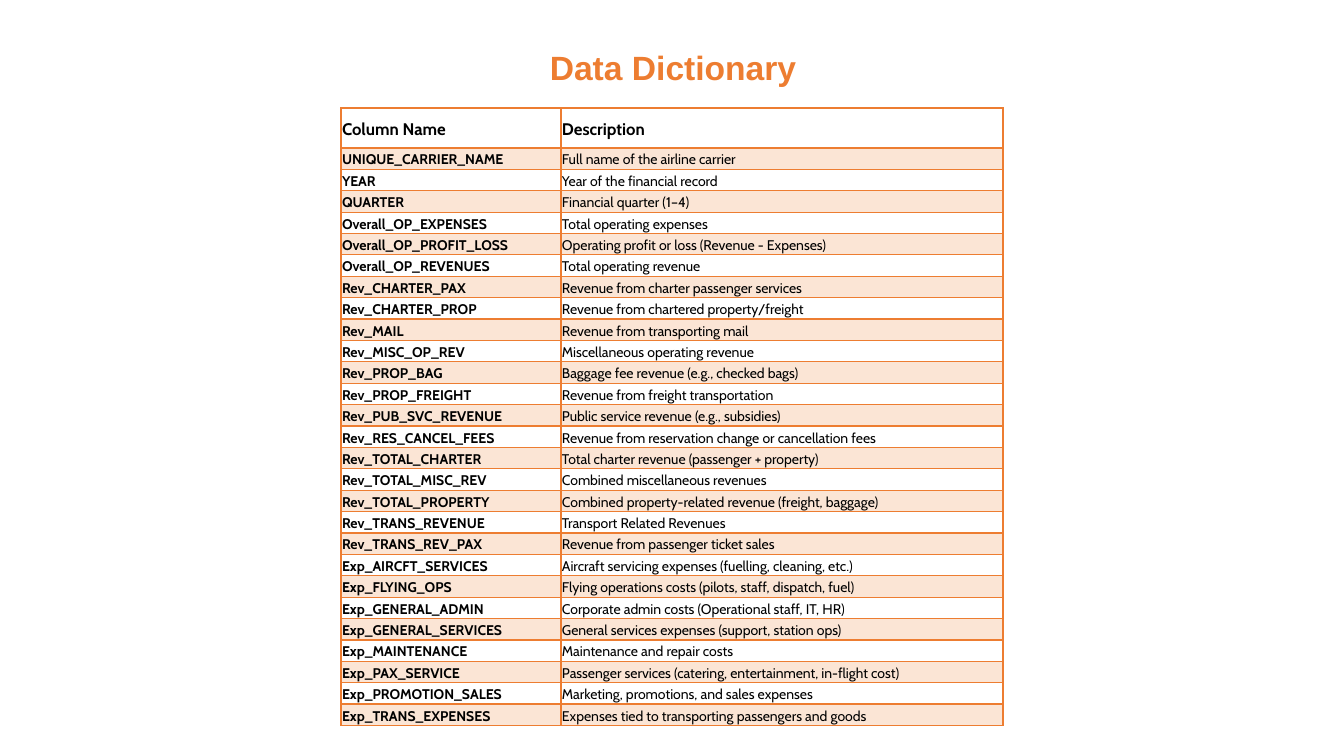
from lxml import etree
from pptx import Presentation
from pptx.dml.color import RGBColor
from pptx.enum.text import MSO_ANCHOR, PP_ALIGN
from pptx.oxml.ns import qn
from pptx.util import Emu, Pt

COLORS = {"accent": "ED7D31", "text": "000000"}
BAND_ALPHA = 20
SLIDE_SIZE = (1344, 756)
TITLE_BOX = (449, 42, 448, 50)
TABLE_BOX = (341, 108, 662, 618)
NAME_WIDTH = 220
HEADER_HEIGHT = 40

TITLE_FONT = {"name": "Arial", "size": Pt(24), "bold": True}
HEADER_FONT = {"name": "Cabin", "size": Pt(12), "bold": True}
NAME_FONT = {"name": "Cabin", "size": Pt(10), "bold": True}
DESCRIPTION_FONT = {"name": "Cabin", "size": Pt(10), "bold": False}

HEADER = ("Column Name", "Description")
DICTIONARY = [
    ("UNIQUE_CARRIER_NAME", "Full name of the airline carrier"),
    ("YEAR", "Year of the financial record"),
    ("QUARTER", "Financial quarter (1–4)"),
    ("Overall_OP_EXPENSES", "Total operating expenses"),
    ("Overall_OP_PROFIT_LOSS", "Operating profit or loss (Revenue - Expenses)"),
    ("Overall_OP_REVENUES", "Total operating revenue"),
    ("Rev_CHARTER_PAX", "Revenue from charter passenger services"),
    ("Rev_CHARTER_PROP", "Revenue from chartered property/freight"),
    ("Rev_MAIL", "Revenue from transporting mail"),
    ("Rev_MISC_OP_REV", "Miscellaneous operating revenue"),
    ("Rev_PROP_BAG", "Baggage fee revenue (e.g., checked bags)"),
    ("Rev_PROP_FREIGHT", "Revenue from freight transportation"),
    ("Rev_PUB_SVC_REVENUE", "Public service revenue (e.g., subsidies)"),
    ("Rev_RES_CANCEL_FEES", "Revenue from reservation change or cancellation fees"),
    ("Rev_TOTAL_CHARTER", "Total charter revenue (passenger + property)"),
    ("Rev_TOTAL_MISC_REV", "Combined miscellaneous revenues"),
    ("Rev_TOTAL_PROPERTY", "Combined property-related revenue (freight, baggage)"),
    ("Rev_TRANS_REVENUE", "Transport Related Revenues"),
    ("Rev_TRANS_REV_PAX", "Revenue from passenger ticket sales"),
    ("Exp_AIRCFT_SERVICES", "Aircraft servicing expenses (fuelling, cleaning, etc.)"),
    ("Exp_FLYING_OPS", "Flying operations costs (pilots, staff, dispatch, fuel)"),
    ("Exp_GENERAL_ADMIN", "Corporate admin costs (Operational staff, IT, HR)"),
    ("Exp_GENERAL_SERVICES", "General services expenses (support, station ops)"),
    ("Exp_MAINTENANCE", "Maintenance and repair costs"),
    ("Exp_PAX_SERVICE", "Passenger services (catering, entertainment, in-flight cost)"),
    ("Exp_PROMOTION_SALES", "Marketing, promotions, and sales expenses"),
    ("Exp_TRANS_EXPENSES", "Expenses tied to transporting passengers and goods"),
]


def px(length):
    return Emu(round(length * 914400 / 100.8))


def set_values(target, values):
    for name, value in values.items():
        setattr(target, name, value)


def write_text(paragraph, text, font, color):
    run = paragraph.add_run()
    run.text = text
    set_values(run.font, font)
    run.font.color.rgb = RGBColor.from_string(COLORS[color])


def set_borders(cell, widths):
    """Draw accent borders; widths maps each edge letter to points."""
    properties = cell._tc.get_or_add_tcPr()
    for index, (edge, width) in enumerate(widths.items()):
        line = etree.Element(qn(f"a:ln{edge}"), w=str(Pt(width)))
        fill = etree.SubElement(line, qn("a:solidFill"))
        etree.SubElement(fill, qn("a:srgbClr"), val=COLORS["accent"])
        properties.insert(index, line)


def fill_cell(cell, banded):
    if not banded:
        cell.fill.background()
        return
    cell.fill.solid()
    cell.fill.fore_color.rgb = RGBColor.from_string(COLORS["accent"])
    color = cell._tc.tcPr.find(qn("a:solidFill")).find(qn("a:srgbClr"))
    etree.SubElement(color, qn("a:alpha"), val=str(BAND_ALPHA * 1000))


def add_title(slide, box):
    frame = slide.shapes.add_textbox(*map(px, box)).text_frame
    frame.word_wrap = True
    paragraph = frame.paragraphs[0]
    paragraph.alignment = PP_ALIGN.CENTER
    write_text(paragraph, "Data Dictionary", TITLE_FONT, "accent")


def add_dictionary_table(slide, box):
    rows = [HEADER, *DICTIONARY]
    table = slide.shapes.add_table(len(rows), len(HEADER), *map(px, box)).table
    set_values(table, {"first_row": False, "horz_banding": False})
    for column, width in zip(table.columns, (NAME_WIDTH, box[2] - NAME_WIDTH)):
        column.width = px(width)
    body_height = px((box[3] - HEADER_HEIGHT) / len(DICTIONARY))
    margins = {f"margin_{side}": px(1) for side in ("left", "top", "right", "bottom")}

    for r, texts in enumerate(rows):
        table.rows[r].height = body_height if r else px(HEADER_HEIGHT)
        fonts = (NAME_FONT, DESCRIPTION_FONT) if r else (HEADER_FONT, HEADER_FONT)
        borders = {"L": 1, "R": 1, "T": 2 if r == 1 else 1, "B": 1 if r else 2}
        for c, (text, font) in enumerate(zip(texts, fonts)):
            cell = table.cell(r, c)
            set_values(cell, {**margins, "vertical_anchor": MSO_ANCHOR.MIDDLE})
            paragraph = cell.text_frame.paragraphs[0]
            set_values(paragraph, {"line_spacing": 1.15, "space_after": Pt(8)})
            write_text(paragraph, text, font, "text")
            fill_cell(cell, banded=r % 2 == 1)
            set_borders(cell, borders)


def main():
    presentation = Presentation()
    presentation.slide_width, presentation.slide_height = map(px, SLIDE_SIZE)
    slide = presentation.slides.add_slide(presentation.slide_layouts[6])
    add_title(slide, TITLE_BOX)
    add_dictionary_table(slide, TABLE_BOX)
    presentation.save("out.pptx")


if __name__ == "__main__":
    main()
